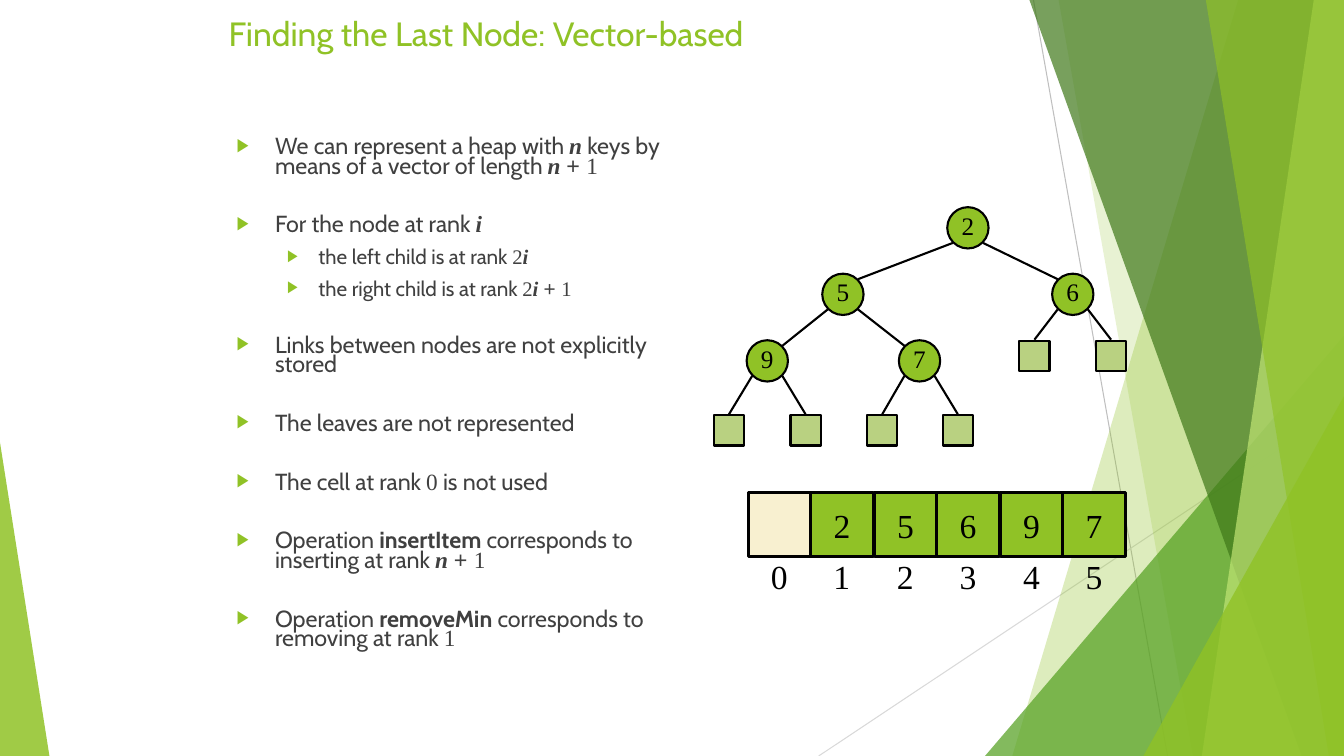
from lxml import etree
from pptx import Presentation
from pptx.dml.color import RGBColor
from pptx.enum.shapes import MSO_CONNECTOR, MSO_SHAPE
from pptx.enum.text import MSO_ANCHOR, PP_ALIGN
from pptx.oxml.ns import qn
from pptx.util import Pt

PX = 9144  # EMU in one px, 100 px to the inch
WIDTH, HEIGHT = 1333, 750
LINE = MSO_CONNECTOR.STRAIGHT
TRIANGLE, OVAL, RECTANGLE = MSO_SHAPE.ISOSCELES_TRIANGLE, MSO_SHAPE.OVAL, MSO_SHAPE.RECTANGLE
CENTER, MIDDLE = PP_ALIGN.CENTER, MSO_ANCHOR.MIDDLE
GREEN, LEAF_GREEN, CREAM = "90C226", "B9D181", "F8F0D0"
BLACK, GREY = "000000", "404040"
SANS, SERIF, PLAIN = "Cabin", "Times New Roman", "Arial"

color = RGBColor.from_string

prs = Presentation()
prs.slide_width, prs.slide_height = WIDTH * PX, HEIGHT * PX
slide = prs.slides.add_slide(prs.slide_layouts[6])
shapes = slide.shapes


def add_line(start, end, hue, width):
    line = shapes.add_connector(LINE, *[round(v * PX) for v in (*start, *end)])
    line.line.color.rgb = color(hue)
    line.line.width = Pt(width)
    etree.SubElement(line._element.spPr, qn("a:effectLst"))


def write_number(shape, number, size, bottom=0):
    """Centre a black serif number in a shape with no other insets."""
    frame = shape.text_frame
    frame.word_wrap = False
    frame.vertical_anchor = MIDDLE
    frame.margin_left = frame.margin_right = frame.margin_top = 0
    frame.margin_bottom = bottom * PX
    paragraph = frame.paragraphs[0]
    paragraph.text = str(number)
    paragraph.alignment = CENTER
    font = paragraph.runs[0].font
    font.name, font.size, font.color.rgb = SERIF, Pt(size), color(BLACK)


# Backdrop: bands reach the right edge, given by the x of their top and bottom
# left corners; wedges are right triangles given by left, top, width, apex.
add_line((1025, 0), (1158, HEIGHT), "BFBFBF", 0.75)
add_line((WIDTH, 403), (812, HEIGHT), "D9D9D9", 0.75)
backdrop = [
    ((1228, 1004), GREEN, 30),
    ((1050, 1183), GREEN, 20),
    ((977, 333, 356, 1), "54A021", 72),
    ((1021, 1291), "3F7819", 70),
    ((1303, 1192), "C0E474", 70),
    ((1196, 1318), GREEN, 65),
    ((1134, 393, 199, 1), GREEN, 80),
    ((0, 439, 49, 0), GREEN, 85),
]
for geometry, hue, opacity in backdrop:
    if len(geometry) == 2:
        top_x, bottom_x = geometry
        outline = shapes.build_freeform(top_x, 0, scale=PX)
        outline.add_line_segments([(WIDTH, 0), (WIDTH, HEIGHT), (bottom_x, HEIGHT)])
        facet = outline.convert_to_shape()
    else:
        left, top, width, apex = geometry
        facet = shapes.add_shape(TRIANGLE, left * PX, top * PX, width * PX, (HEIGHT - top) * PX)
        facet.adjustments[0] = apex
    facet.shadow.inherit = False
    facet.line.fill.background()
    facet.fill.solid()
    facet.fill.fore_color.rgb = color(hue)
    rgb = facet._element.spPr.find(qn("a:solidFill"))[0]
    etree.SubElement(rgb, qn("a:alpha"), val=str(opacity * 1000))

# Title
title = shapes.add_textbox(217 * PX, 8 * PX, 900 * PX, 100 * PX).text_frame
title.word_wrap = True
title.text = "Finding the Last Node: Vector-based"
title_font = title.paragraphs[0].runs[0].font
title_font.name, title_font.size, title_font.color.rgb = SANS, Pt(24), color(GREEN)

# Points: level, space before, then runs as (text, style)
STYLES = {  # font, bold, italic
    "text": (SANS, False, False),
    "strong": (SANS, True, False),
    "variable": (SERIF, True, True),
    "number": (SERIF, False, False),
    "sign": (PLAIN, False, False),
}
LEVELS = [(38, 38, 16.6), (81, 31, 14.8)]  # margin, hanging indent, size
plus_one = [("+ ", "sign"), ("1", "number")]
points = [
    (0, 0, [("We can represent a heap with ", "text"), ("n", "variable"),
            (" keys by means of a vector of length ", "text"), ("n ", "variable"), *plus_one]),
    (0, 28, [("For the node at rank ", "text"), ("i", "variable")]),
    (1, 10, [("the left child is at rank ", "text"), ("2", "number"), ("i", "variable")]),
    (1, 10, [("the right child is at rank ", "text"), ("2", "number"),
             ("i ", "variable"), *plus_one]),
    (0, 27, [("Links between nodes are not explicitly stored", "text")]),
    (0, 28, [("The leaves are not represented", "text")]),
    (0, 28, [("The cell at rank ", "text"), ("0", "number"), (" is not used", "text")]),
    (0, 28, [("Operation ", "text"), ("insertItem", "strong"),
             (" corresponds to inserting at rank ", "text"), ("n ", "variable"), *plus_one]),
    (0, 28, [("Operation ", "text"), ("removeMin", "strong"),
             (" corresponds to removing at rank ", "text"), ("1", "number")]),
]
body = shapes.add_textbox(225 * PX, 133 * PX, 450 * PX, 558 * PX).text_frame
body.word_wrap = True
for index, (level, gap, runs) in enumerate(points):
    paragraph = body.add_paragraph() if index else body.paragraphs[0]
    margin, hanging, size = LEVELS[level]
    props = paragraph._p.get_or_add_pPr()
    props.set("marL", str(margin * PX))
    props.set("indent", str(-hanging * PX))
    bullet_color = etree.SubElement(props, qn("a:buClr"))
    etree.SubElement(bullet_color, qn("a:srgbClr"), val=GREEN)
    etree.SubElement(props, qn("a:buSzPct"), val="80000")
    etree.SubElement(props, qn("a:buFont"), typeface=PLAIN)
    etree.SubElement(props, qn("a:buChar"), char="▶")
    paragraph.level = level
    paragraph.line_spacing = 0.7
    paragraph.space_before = Pt(gap)
    for text, style in runs:
        run = paragraph.add_run()
        run.text = text
        run.font.name, run.font.bold, run.font.italic = STYLES[style]
        run.font.size, run.font.color.rgb = Pt(size), color(GREY)

# Heap tree: centres by rank; ranks beyond the keys are leaves
keys = [None, 2, 5, 6, 9, 7]
centres = [
    None, (960, 226), (836, 292), (1064, 292), (761, 358), (912, 358),
    (1026, 353), (1102, 353), (723, 427), (799, 427), (875, 427), (950, 427),
]
for rank in range(1, len(centres)):
    x, y = centres[rank]
    is_leaf = rank >= len(keys)
    side = 30 if is_leaf else 41
    node = shapes.add_shape(RECTANGLE if is_leaf else OVAL, round((x - side / 2) * PX),
                            round((y - side / 2) * PX), side * PX, side * PX)
    node.shadow.inherit = False
    node.fill.solid()
    node.fill.fore_color.rgb = color(LEAF_GREEN if is_leaf else GREEN)
    node.line.color.rgb = color(BLACK)
    node.line.width = Pt(1.5)
    if not is_leaf:
        write_number(node, keys[rank], 18, bottom=5)
    if rank > 1:
        parent_x, parent_y = centres[rank // 2]
        toward = 15 if rank % 2 else -15
        end = (x, y - 16) if is_leaf else (x - toward, y - 15)
        add_line((parent_x + toward, parent_y + 15), end, BLACK, 1.5)

# Vector: one cell per rank, with the rank below
for rank, key in enumerate(keys):
    left = 742 + 125 * rank // 2
    cell = shapes.add_shape(RECTANGLE, left * PX, 489 * PX, 62 * PX, 63 * PX)
    cell.shadow.inherit = False
    cell.fill.solid()
    cell.fill.fore_color.rgb = color(GREEN if key else CREAM)
    cell.line.color.rgb = color(BLACK)
    cell.line.width = Pt(2.25)
    if key:
        write_number(cell, key, 24)
    write_number(shapes.add_textbox((left + 16) * PX, 552 * PX, 30 * PX, 40 * PX), rank, 24)

prs.save("out.pptx")
